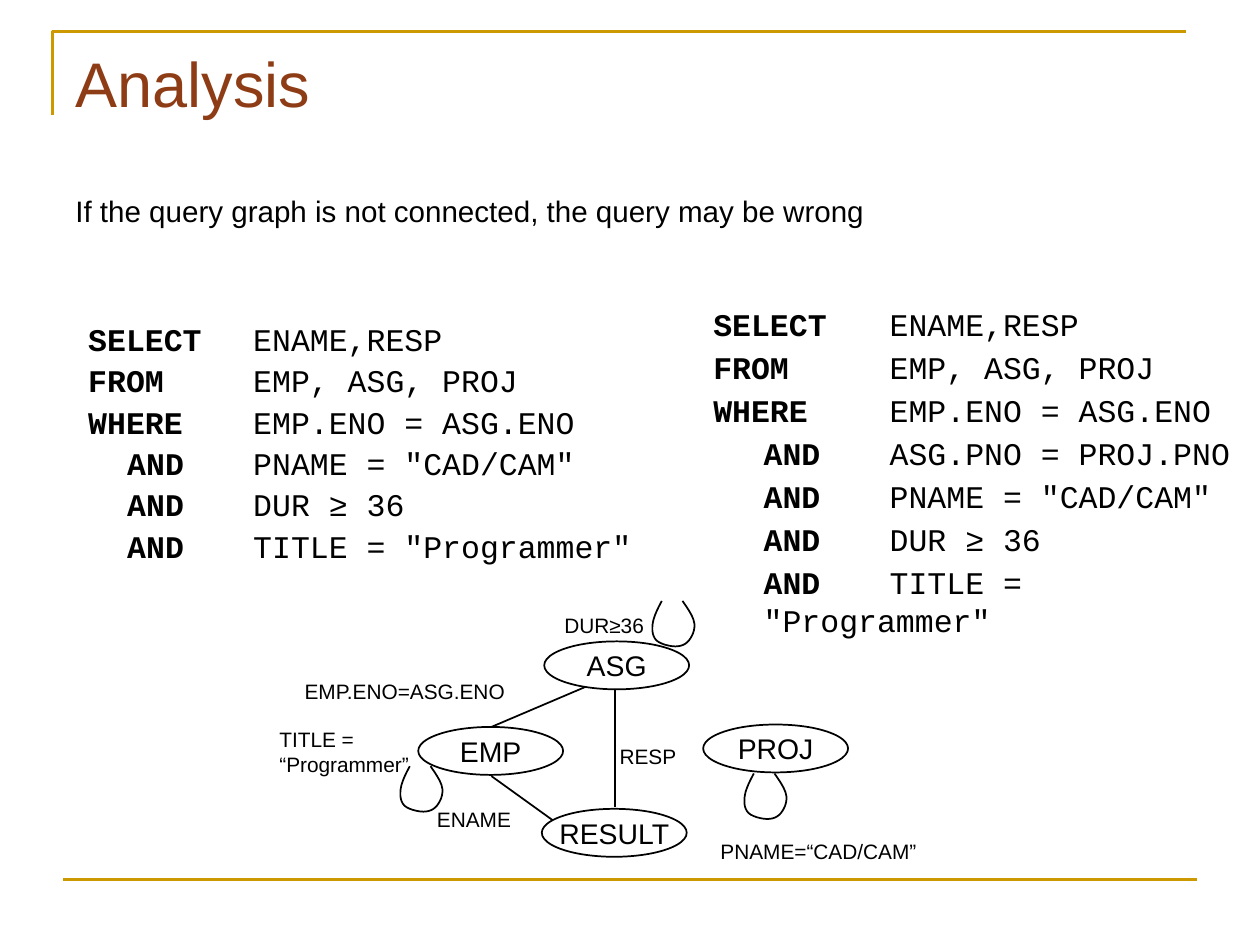
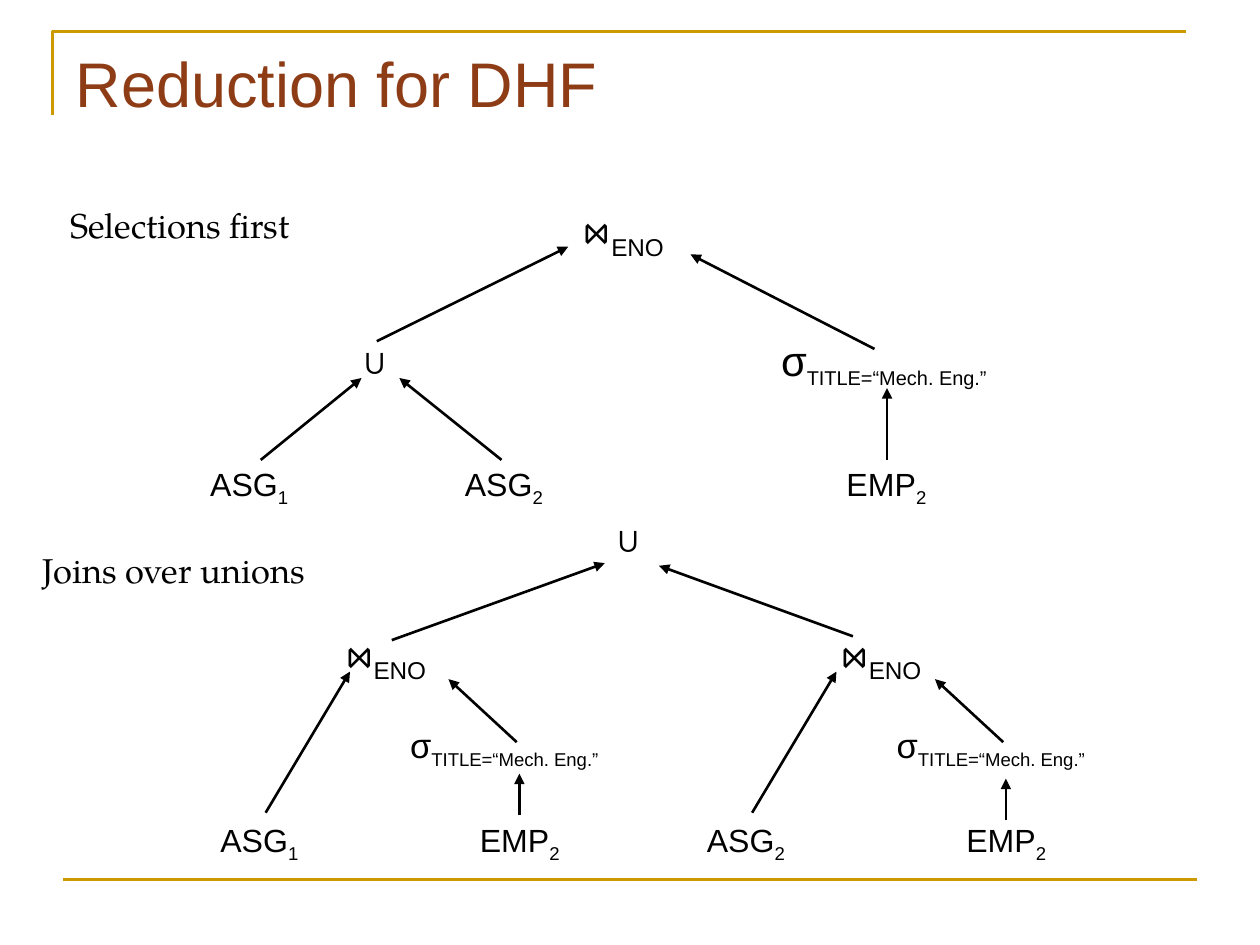
from pptx import Presentation
from pptx.dml.color import RGBColor
from pptx.enum.shapes import MSO_CONNECTOR, MSO_SHAPE
from pptx.enum.text import MSO_ANCHOR, MSO_AUTO_SIZE, PP_ALIGN
from pptx.oxml.ns import qn
from pptx.util import Pt

STRAIGHT = MSO_CONNECTOR.STRAIGHT
ELLIPSE = MSO_SHAPE.OVAL
TOP, MIDDLE = MSO_ANCHOR.TOP, MSO_ANCHOR.MIDDLE
NO_AUTOFIT = MSO_AUTO_SIZE.NONE
LEFT, CENTER = PP_ALIGN.LEFT, PP_ALIGN.CENTER

GOLD = RGBColor(0xCC, 0x99, 0x00)
BROWN = RGBColor(0x8D, 0x3C, 0x15)
BLACK = RGBColor(0, 0, 0)
WHITE = RGBColor(255, 255, 255)
SANS, MONO, SERIF = "Arial", "Courier New", "TeX Gyre Pagella"

NODE_W, NODE_H = 82.8, 27.4
LOOP_START = (6, 0)
LOOP_CURVES = [
    ((5, 2), (1.2, 8.6), (0.8, 13)),
    ((0.2, 17), (0.8, 20.5), (3, 22.6)),
    ((5, 24.6), (10.4, 26), (13.8, 26)),
    ((17, 26), (19.5, 25), (21.5, 22.6)),
    ((23.2, 20.4), (25, 17), (24.6, 13)),
    ((24.2, 8.6), (19.4, 2.4), (17.8, 0)),
]
LOOP_STEPS = 6

SELECT_FROM = [("SELECT", "ENAME,RESP"), ("FROM", "EMP, ASG, PROJ"),
               ("WHERE", "EMP.ENO = ASG.ENO")]
FILTERS = [("\tAND", 'PNAME = "CAD/CAM"'), ("\tAND", "DUR ≥ 36"),
           ("\tAND", 'TITLE = "Programmer"')]
PROJ_JOIN = [("\tAND", "ASG.PNO = PROJ.PNO")]

JOIN = ("⋈", "ENO", 25.3, 23.9, SERIF)
UNION = ("∪", "", 19.7, 19.7, SANS)
SELECTION = ("σ", "TITLE=“Mech. Eng.”", 19.7, 18.3, SANS)
BIG_SELECTION = ("σ", "TITLE=“Mech. Eng.”", 23.9, 19.7, SANS)
ASG1, ASG2, EMP2 = [(name, sub, 18.3, 18.3, SANS)
                    for name, sub in (("ASG", "1"), ("ASG", "2"), ("EMP", "2"))]


def set_font(font, size, name=SANS, color=BLACK):
    font.size, font.name = Pt(size), name
    font.color.rgb = color


def place(shape, left, top, width, height):
    shape.left, shape.top = Pt(left), Pt(top)
    shape.width, shape.height = Pt(width), Pt(height)


def add_line(s, x1, y1, x2, y2, color=BLACK, weight=1, arrow=False):
    cxn = s.shapes.add_connector(STRAIGHT, Pt(x1), Pt(y1), Pt(x2), Pt(y2))
    cxn.line.color.rgb = color
    cxn.line.width = Pt(weight)
    sp_pr = cxn._element.spPr
    if arrow:
        ln = sp_pr.find(qn("a:ln"))
        ln.append(ln.makeelement(qn("a:tailEnd"), {"type": "triangle"}))
    sp_pr.append(sp_pr.makeelement(qn("a:effectLst"), {}))


def add_outline(s, points, color=BLACK, weight=1):
    points = [(Pt(x), Pt(y)) for x, y in points]
    fb = s.shapes.build_freeform(*points[0])
    fb.add_line_segments(points[1:], close=False)
    sp = fb.convert_to_shape()
    sp.fill.background()
    sp.line.color.rgb = color
    sp.line.width = Pt(weight)
    sp.shadow.inherit = False


def add_text(s, left, top, width, height, text, size, name=SANS):
    sp = s.shapes.add_textbox(Pt(left), Pt(top), Pt(width), Pt(height))
    tf = sp.text_frame
    tf.word_wrap = True
    tf.text = text
    for p in tf.paragraphs:
        set_font(p.font, size, name)
    return tf


def new_slide(prs, layout, title):
    s = prs.slides.add_slide(prs.slide_layouts[layout])
    add_outline(s, [(30, 66), (30, 18), (678, 18)], GOLD, 1.5)
    add_line(s, 36, 502.5, 684, 502.5, GOLD, 1.5)
    sp = s.shapes.title
    place(sp, 36, 21.6, 648, 90)
    tf = sp.text_frame
    tf.text = title
    tf.auto_size = NO_AUTOFIT
    tf.vertical_anchor = TOP
    p = tf.paragraphs[0]
    p.alignment = LEFT
    set_font(p.font, 36, SANS, BROWN)
    return s


def fill_query(tf, rows, margin, hanging, gap):
    tf.word_wrap = True
    tf.auto_size = NO_AUTOFIT
    tf.vertical_anchor = TOP
    for i, (keyword, clause) in enumerate(rows):
        p = tf.add_paragraph() if i else tf.paragraphs[0]
        p.space_before = Pt(gap)
        set_font(p.font, 18, MONO)
        p_pr = p._p.get_or_add_pPr()
        p_pr.set("marL", str(Pt(margin)))
        p_pr.set("indent", str(-Pt(hanging)))
        p_pr.set("defTabSz", str(Pt(72)))
        def_rpr = p_pr.find(qn("a:defRPr"))
        def_rpr.addprevious(p_pr.makeelement(qn("a:buNone"), {}))
        for text, bold in ((keyword, True), ("\t" + clause, False)):
            r = p.add_run()
            r.text = text
            r.font.bold = bold
            set_font(r.font, 18, MONO)


def add_node(s, left, top, name):
    sp = s.shapes.add_shape(ELLIPSE, Pt(left), Pt(top), Pt(NODE_W), Pt(NODE_H))
    sp.shadow.inherit = False
    sp.fill.solid()
    sp.fill.fore_color.rgb = WHITE
    sp.line.color.rgb = BLACK
    sp.line.width = Pt(1)
    tf = sp.text_frame
    tf.margin_left = tf.margin_right = tf.margin_top = tf.margin_bottom = 0
    tf.word_wrap = False
    tf.vertical_anchor = MIDDLE
    tf.text = name
    p = tf.paragraphs[0]
    p.alignment = CENTER
    set_font(p.font, 16.2)


def add_loop(s, left, top):
    points = [LOOP_START]
    for curve in LOOP_CURVES:
        controls = (points[-1], *curve)
        for step in range(1, LOOP_STEPS + 1):
            t = step / LOOP_STEPS
            u = 1 - t
            weights = (u ** 3, 3 * u * u * t, 3 * u * t * t, t ** 3)
            points.append(tuple(sum(w * c[axis] for w, c in zip(weights, controls))
                                for axis in (0, 1)))
    add_outline(s, [(left + x, top + y) for x, y in points])


def query_graph(s, left, top):
    for x1, y1, x2, y2 in [(130.8, 103.5, 166.8, 129.4), (201.4, 53, 201.4, 121),
                           (184.8, 52.4, 130.8, 75.4)]:
        add_line(s, left + x1, top + y1, left + x2, top + y2)
    for x, y, name in [(161, 26.5, "ASG"), (89, 75.4, "EMP"),
                       (251.8, 74, "PROJ"), (159.6, 122.2, "RESULT")]:
        add_node(s, left + x, top + y, name)
    for x, y in [(222.2, 3.4), (78.2, 97.8), (274.8, 102)]:
        add_loop(s, left + x, top + y)
    for x, y, width, text in [(165.4, 6.3, 66, "DUR≥36"),
                              (17, 44.5, 136, "EMP.ENO=ASG.ENO"),
                              (2.6, 71.8, 94, "TITLE =\n“Programmer”"),
                              (197, 81.2, 52, "RESP"),
                              (92.6, 117.2, 62, "ENAME"),
                              (254.6, 135.9, 134, "PNAME=“CAD/CAM”")]:
        height = 21.6 + 14.4 * text.count("\n")
        add_text(s, left + x, top + y, width, height, text, 11.9)


def analysis_slide(prs):
    s = new_slide(prs, 1, "Analysis")
    body = s.placeholders[1]
    place(body, 7.2, 179.3, 381, 167)
    fill_query(body.text_frame, SELECT_FROM + FILTERS, 58.3, 22.3, 2)
    sp = s.shapes.add_textbox(Pt(347.8), Pt(171.4), Pt(370.8), Pt(184.3))
    tf = sp.text_frame
    tf.margin_left = tf.margin_right = tf.margin_top = tf.margin_bottom = Pt(2.9)
    fill_query(tf, SELECT_FROM + PROJ_JOIN + FILTERS, 85.7, 28.8, 3)
    add_text(s, 36, 106.6, 646, 48,
             "If the query graph is not connected, the query may be wrong", 16.9)
    query_graph(s, 150, 340)


def add_term(s, left, top, width, term):
    symbol, sub, size, sub_size, name = term
    tf = add_text(s, left, top, width, size * 1.2 + 7.2, symbol, size, name)
    p = tf.paragraphs[0]
    set_font(p.runs[0].font, size, name)
    if sub:
        r = p.add_run()
        r.text = sub
        set_font(r.font, sub_size)
        r.font._element.set("baseline", "-25000")


def add_tree(s, left, top, terms, arrows):
    for x, y, width, term in terms:
        add_term(s, left + x, top + y, width, term)
    for x1, y1, x2, y2 in arrows:
        add_line(s, left + x1, top + y1, left + x2, top + y2, weight=1.5, arrow=True)


def add_caption(s, left, top, width, text):
    p = add_text(s, left, top, width, 38, text, 19.7, SERIF).paragraphs[0]
    p.line_spacing = 1.3
    p.space_before = Pt(7)


def selections_tree(s, left, top):
    add_tree(s, left, top,
             [(226, 5.6, 79.2, JOIN), (100, 84.8, 30, UNION),
              (339.2, 82, 148, BIG_SELECTION), (13, 156, 68, ASG1),
              (158.5, 156, 68, ASG2), (376.6, 156, 68, EMP2)],
             [(49, 156.8, 106.6, 110), (186.6, 156.8, 128.2, 110),
              (115.3, 89, 224.7, 35), (399.7, 93.4, 294.6, 39.4),
              (406.9, 156.8, 406.9, 115.8)])


def join_branch(s, left, top, asg, join_x, emp_arrow_y):
    add_tree(s, left, top,
             [(join_x, 0, 79.2, JOIN), (108.5, 56.9, 137.5, SELECTION),
              (0, 111.6, 68, asg), (148.3, 111.6, 68, EMP2)],
             [(33, 110.9, 81.2, 30.3), (176.5, 70.6, 137.5, 34.6),
              (178, emp_arrow_y + 23.8, 178, emp_arrow_y)])


def unions_tree(s, left, top):
    add_tree(s, left, top, [(226, 2.3, 30, UNION)],
             [(105.1, 75.8, 226.8, 31.8), (368.6, 73.6, 257.8, 33.3)])
    join_branch(s, left, top + 63.5, ASG1, 71.3, 88.6)
    join_branch(s, left + 278, top + 63.5, ASG2, 76.3, 91.5)


def reduction_slide(prs):
    s = new_slide(prs, 5, "Reduction for DHF")
    add_caption(s, 33, 105.8, 191, "Selections first")
    selections_tree(s, 100, 106)
    add_caption(s, 17.2, 303.1, 228, "Joins over unions")
    unions_tree(s, 118.8, 290)


def main():
    prs = Presentation()
    prs.slide_width, prs.slide_height = Pt(720), Pt(540)
    analysis_slide(prs)
    reduction_slide(prs)
    prs.save("out.pptx")


if __name__ == "__main__":
    main()
